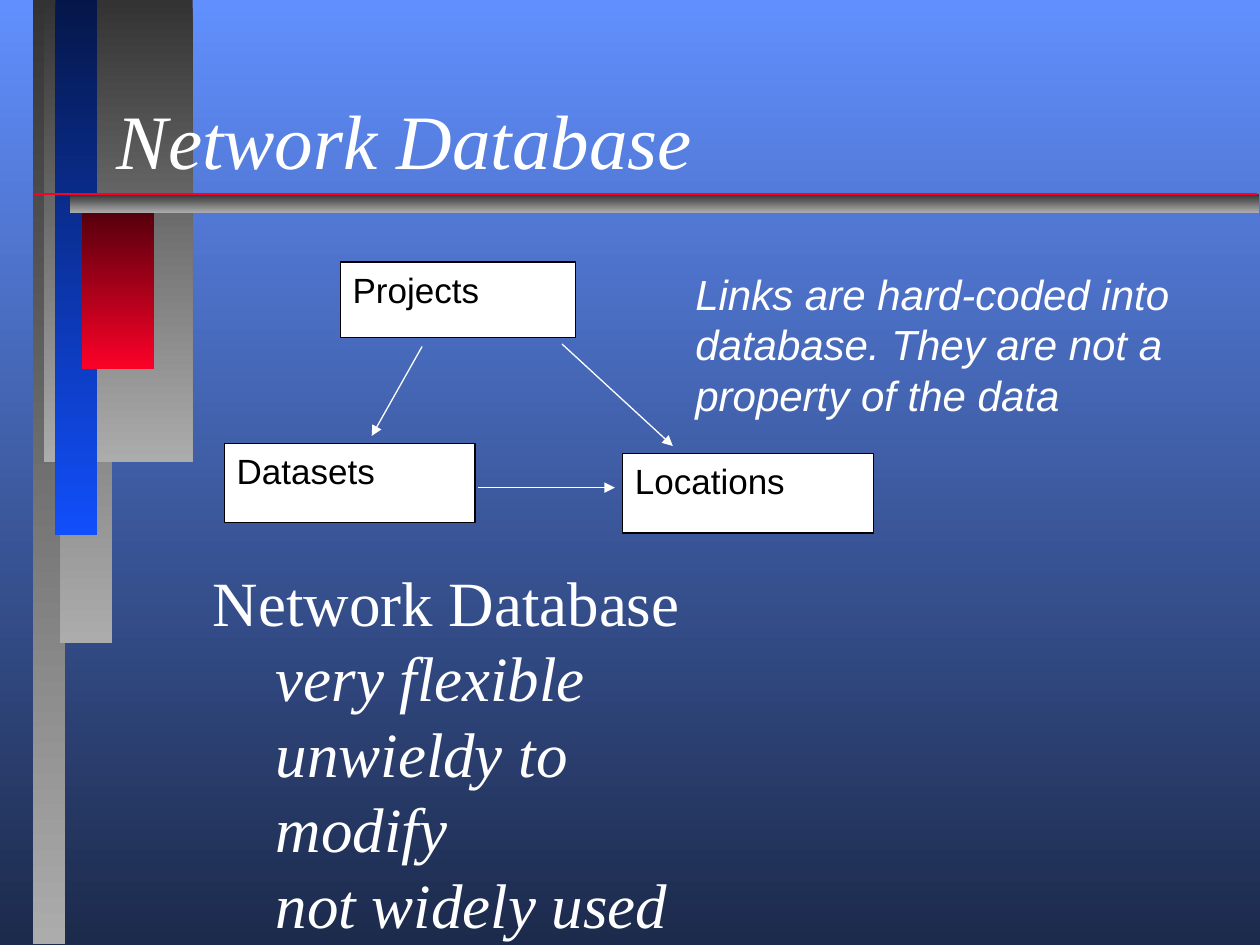
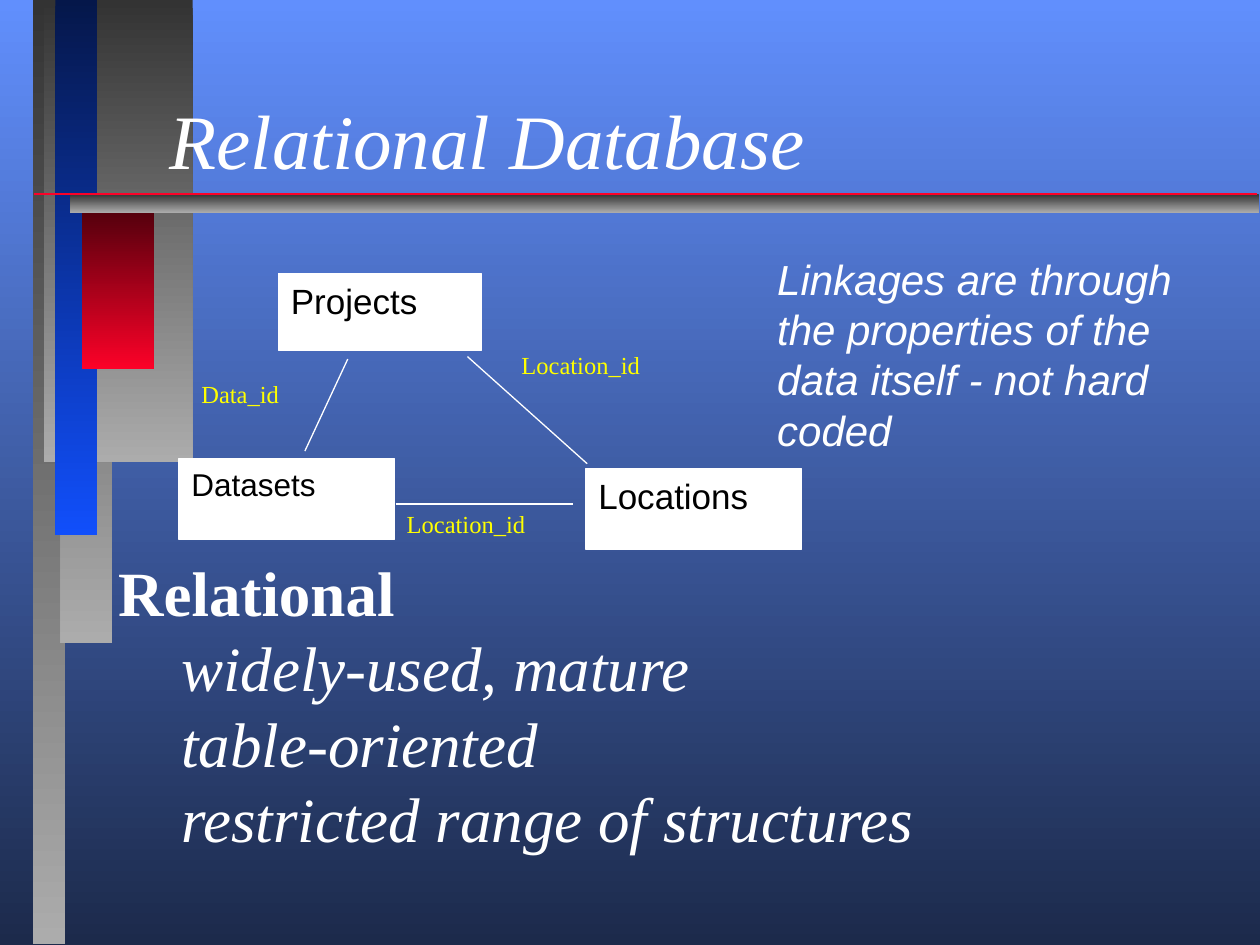
from pptx import Presentation
from pptx.dml.color import RGBColor
from pptx.enum.shapes import MSO_CONNECTOR, MSO_SHAPE
from pptx.enum.text import MSO_ANCHOR, PP_ALIGN
from pptx.oxml.ns import qn
from pptx.util import Inches, Pt
from lxml.etree import SubElement

COLOURS = {
    "white": "FFFFFF", "black": "000000", "yellow": "FFFF00", "red": "FC0128",
    "sky": "618FFD", "navy": "1C2A4B", "charcoal": "333333", "silver": "ACACAC",
    "midnight": "05174A", "blue": "114FFB", "maroon": "4A000B",
}
SERIF, SANS = "Times New Roman", "Arial"
LINE_HEIGHT = 1.2
GREY = ("charcoal", "silver")
BANDS = [
    ((0.26, 0, 0.26, 7.49), GREY),
    ((0.48, 0, 0.41, 5.1), GREY),
    ((0.35, 0, 1.18, 3.67), GREY),
    ((0.44, 0, 0.33, 4.25), ("midnight", "blue")),
    ((0.65, 1.6, 0.57, 1.33), ("maroon", "red")),
    ((0.56, 1.54, 9.43, 0.15), GREY),
]


def colour(name):
    """Return the named colour."""
    return RGBColor.from_string(COLOURS[name])


def fill_downward(fill, names):
    """Fill with a two-colour gradient running from top to bottom."""
    fill.gradient()
    fill.gradient_angle = 270
    for stop, name in zip(fill.gradient_stops, names):
        stop.color.rgb = colour(name)


def add_rectangle(page, place):
    """Add a rectangle without a shadow."""
    box = page.shapes.add_shape(MSO_SHAPE.RECTANGLE, *map(Inches, place))
    box.shadow.inherit = False
    return box


def write_line(para, text, font, size, ink="white", bold=False, italic=False):
    """Write one styled, left-aligned paragraph."""
    para.text = text
    para.alignment = PP_ALIGN.LEFT
    para.line_spacing = Pt(size * LINE_HEIGHT)
    para.font.name = font
    para.font.size = Pt(size)
    para.font.bold = bold
    para.font.italic = italic
    para.font.color.rgb = colour(ink)


def add_text(page, place, lines, font, size, **style):
    """Add a text box with one paragraph for each line."""
    box = page.shapes.add_textbox(*map(Inches, place))
    frame = box.text_frame
    frame.word_wrap = True
    for index, line in enumerate(lines):
        para = frame.add_paragraph() if index else frame.paragraphs[0]
        write_line(para, line, font, size, **style)
    return box


def add_line(page, start, end, ink="white", width=0.75, arrow=False):
    """Add a straight line, with an arrowhead at its end if wanted."""
    points = map(Inches, (*start, *end))
    line = page.shapes.add_connector(MSO_CONNECTOR.STRAIGHT, *points)
    line.line.color.rgb = colour(ink)
    line.line.width = Pt(width)
    if arrow:
        SubElement(line.line._get_or_add_ln(), qn("a:tailEnd"), type="triangle")
    SubElement(line._element.spPr, qn("a:effectLst"))


def add_entity(page, place, name, outline, size=20):
    """Add a white box that names a database entity."""
    box = add_rectangle(page, place)
    box.fill.solid()
    box.fill.fore_color.rgb = colour("white")
    box.line.color.rgb = colour(outline)
    box.line.width = Pt(0.75)
    box.text_frame.word_wrap = True
    box.text_frame.vertical_anchor = MSO_ANCHOR.TOP
    write_line(box.text_frame.paragraphs[0], name, SANS, size, ink="black")


def add_summary(page, place, heading, points, bold=False):
    """Add a heading with indented italic points below it."""
    box = add_text(page, place, [heading], SERIF, 36, bold=bold)
    for point in points:
        para = box.text_frame.add_paragraph()
        write_line(para, point, SERIF, 36, italic=True)
        para.level = 1
        para._p.get_or_add_pPr().set("marL", str(Inches(0.5)))


def add_page(deck, title, left):
    """Add a page with the shared background, bands, rule and title."""
    page = deck.slides.add_slide(deck.slide_layouts[6])
    fill_downward(page.background.fill, ("sky", "navy"))
    for place, names in BANDS:
        band = add_rectangle(page, place)
        fill_downward(band.fill, names)
        band.line.fill.background()
    add_line(page, (0.27, 1.54), (9.98, 1.54), ink="red", width=1)
    place = (left, 0.25, 9.33 - left, 1.27)
    box = add_text(page, place, [title], SERIF, 44, italic=True)
    box.text_frame.vertical_anchor = MSO_ANCHOR.BOTTOM
    return page


def build_network(deck):
    """Build the network database page."""
    page = add_page(deck, "Network Database", 0.83)
    add_entity(page, (2.7, 2.08, 1.87, 0.6), "Projects", "black")
    add_entity(page, (4.94, 3.6, 1.99, 0.63), "Locations", "black")
    add_entity(page, (1.78, 3.52, 1.99, 0.63), "Datasets", "black")
    for start, end in [((3.35, 2.75), (2.95, 3.46)),
                       ((3.79, 3.87), (4.88, 3.87)),
                       ((4.46, 2.73), (5.34, 3.54))]:
        add_line(page, start, end, arrow=True)
    add_summary(page, (1.59, 4.42, 4.5, 2.5), "Network Database",
                ["very flexible", "unwieldy to modify", "not widely used"])
    remark = ["Links are hard-coded into", "database. They are not a",
              "property of the data"]
    add_text(page, (5.42, 2.08, 4.05, 1.3), remark, SANS, 24, italic=True)


def build_relational(deck):
    """Build the relational database page."""
    page = add_page(deck, "Relational Database", 1.25)
    add_entity(page, (2.21, 2.17, 1.61, 0.61), "Projects", "white")
    add_entity(page, (4.65, 3.72, 1.71, 0.64), "Locations", "white")
    add_entity(page, (1.42, 3.64, 1.71, 0.64), "Datasets", "white", size=18)
    for start, end in [((2.76, 2.85), (2.42, 3.58)),
                       ((3.14, 4), (4.55, 4)),
                       ((3.71, 2.83), (4.66, 3.68))]:
        add_line(page, start, end)
    for place, key in [((1.5, 2.96, 1.24, 0.56), "Data_id"),
                       ((4.04, 2.73, 1.58, 0.56), "Location_id"),
                       ((3.13, 3.99, 1.6, 0.59), "Location_id")]:
        add_text(page, place, [key], SERIF, 14, ink="yellow")
    add_summary(page, (0.84, 4.34, 6.54, 2.5), "Relational",
                ["widely-used, mature", "table-oriented",
                 "restricted range of structures"], bold=True)
    remark = ["Linkages are through", "the properties of the",
              "data itself - not hard", "coded"]
    add_text(page, (6.07, 1.96, 3.33, 1.7), remark, SANS, 24, italic=True)


def main():
    """Build and save the deck."""
    deck = Presentation()
    deck.slide_width, deck.slide_height = Inches(10), Inches(7.5)
    build_network(deck)
    build_relational(deck)
    deck.save("out.pptx")


if __name__ == "__main__":
    main()
